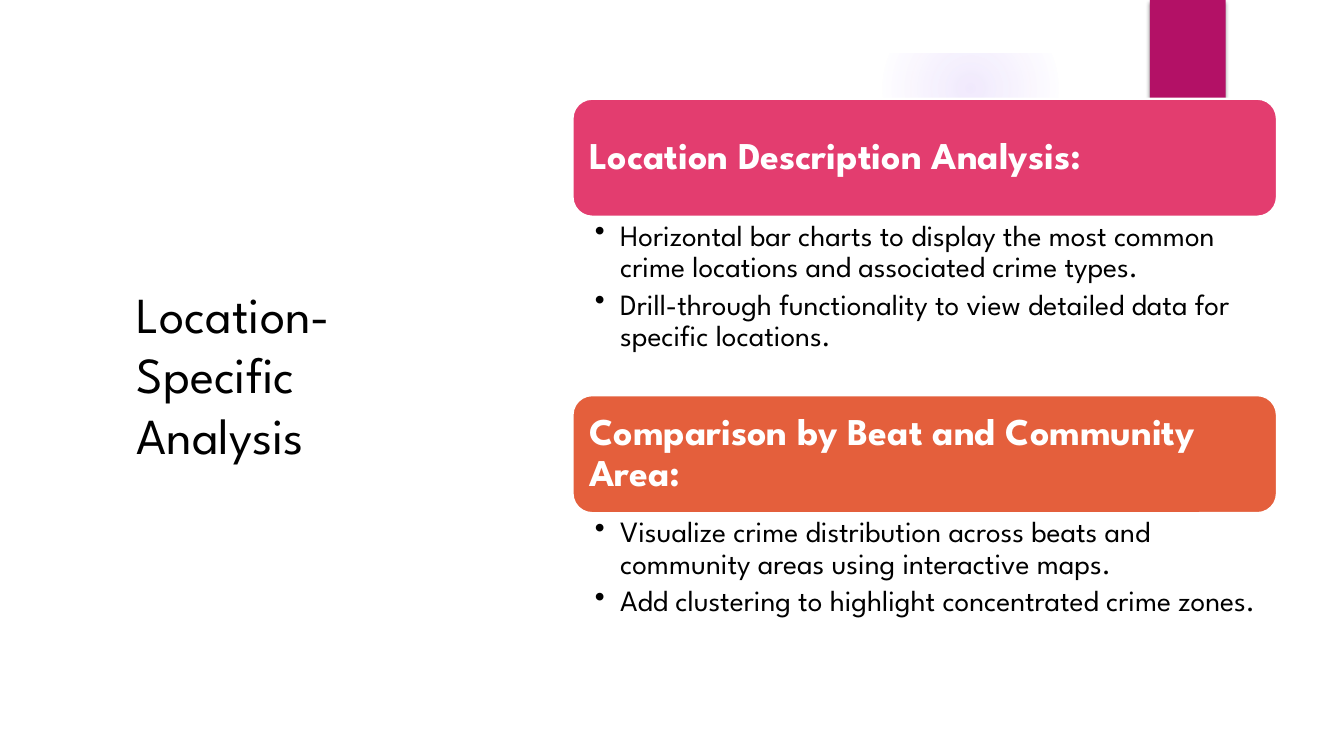
from lxml import etree
from pptx import Presentation
from pptx.dml.color import RGBColor
from pptx.enum.shapes import MSO_SHAPE
from pptx.enum.text import MSO_ANCHOR
from pptx.oxml import parse_xml
from pptx.oxml.ns import nsdecls, qn
from pptx.util import Cm, Pt

RECT = MSO_SHAPE.RECTANGLE
ROUND = MSO_SHAPE.ROUNDED_RECTANGLE
OVAL = MSO_SHAPE.OVAL
FRAME = MSO_SHAPE.FRAME
MIDDLE = MSO_ANCHOR.MIDDLE
TOP = MSO_ANCHOR.TOP

WHITE = RGBColor(0xFF, 0xFF, 0xFF)
BLACK = RGBColor(0, 0, 0)
PLUM = RGBColor(0xB3, 0x11, 0x66)
PINK = RGBColor(0xE3, 0x3D, 0x6F)
ORANGE = RGBColor(0xE4, 0x5F, 0x3C)
VIOLET = RGBColor(0x9B, 0x6B, 0xF2)

FONT = "League Spartan"
WIDE, HIGH = 33.87, 19.05
HEAD = 2.97
TOPICS = [
    ("Location Description Analysis:", PINK, [
        "Horizontal bar charts to display the most common crime locations "
        "and associated crime types.",
        "Drill-through functionality to view detailed data for specific locations.",
    ]),
    ("Comparison by Beat and Community Area:", ORANGE, [
        "Visualize crime distribution across beats and community areas "
        "using interactive maps.",
        "Add clustering to highlight concentrated crime zones.",
    ]),
]


def add_shape(slide, kind, box, fill):
    shape = slide.shapes.add_shape(kind, *map(Cm, box))
    shape.shadow.inherit = False
    shape.fill.solid()
    shape.fill.fore_color.rgb = fill
    shape.line.fill.background()
    return shape


def add_text(slide, box, lines, size, color, pads, anchor=TOP,
             bold=False, space=1.0, after=0, dots=False):
    frame = slide.shapes.add_textbox(*map(Cm, box)).text_frame
    frame.word_wrap = True
    frame.vertical_anchor = anchor
    frame.margin_left, frame.margin_top, frame.margin_right, frame.margin_bottom = map(Cm, pads)
    for i, line in enumerate(lines):
        para = frame.add_paragraph() if i else frame.paragraphs[0]
        para.line_spacing = space
        para.space_after = Pt(after)
        run = para.add_run()
        run.text = line
        font = run.font
        font.name, font.size, font.bold = FONT, Pt(size), bold
        font.color.rgb = color
        if dots:
            props = para._p.get_or_add_pPr()
            props.set("marL", str(Cm(0.64)))
            props.set("indent", str(-Cm(0.64)))
            etree.SubElement(props, qn("a:buChar")).set("char", "•")


def draw_glow(slide, box):
    glow = add_shape(slide, OVAL, box, VIOLET)
    stops = "".join(
        f'<a:gs pos="{pos}000"><a:srgbClr val="{VIOLET}">'
        f'<a:alpha val="{alpha}000"/></a:srgbClr></a:gs>'
        for pos, alpha in [(0, 14), (36, 7), (73, 0)])
    fade = parse_xml(
        f'<a:gradFill {nsdecls("a")}><a:gsLst>{stops}</a:gsLst><a:path path="circle">'
        '<a:fillToRect l="50000" t="50000" r="50000" b="50000"/></a:path></a:gradFill>')
    props = glow._element.spPr
    props.replace(props.find(qn("a:solidFill")), fade)


def draw_ribbon(slide, box):
    ribbon = add_shape(slide, RECT, box, PLUM)
    effects = ribbon._element.spPr.find(qn("a:effectLst"))
    effects.append(parse_xml(
        f'<a:outerShdw {nsdecls("a")} blurRad="{Pt(3)}" dist="{Pt(2)}" dir="5400000" '
        f'rotWithShape="0"><a:srgbClr val="{BLACK}"><a:alpha val="45000"/>'
        '</a:srgbClr></a:outerShdw>'))


def draw_decor(slide, box):
    left, top, width, height = box
    draw_glow(slide, (left + 22.23, top, 4.45, 4.45))
    border = add_shape(slide, FRAME, box, WHITE)
    border.adjustments[0] = 0.07
    draw_ribbon(slide, (left + 28.98, top, 1.91, 3.18))


def draw_title(slide, box):
    add_text(slide, box, ["Location-Specific Analysis"], 36, BLACK,
             (0.25, 0.13, 0.25, 0.13), MIDDLE)


def draw_topic(slide, box, head, fill, points):
    left, top, width, height = box
    banner = add_shape(slide, ROUND, (left, top, width, HEAD), fill)
    banner.line.color.rgb = WHITE
    banner.line.width = Pt(1.5)
    inset = 0.14
    add_text(slide, (left + inset, top + inset, width - 2 * inset, HEAD - 2 * inset),
             [head], 27, WHITE, [0.28] * 4, MIDDLE, bold=True, space=0.9)
    add_text(slide, (left, top + HEAD, width, height - HEAD), points, 21, BLACK,
             (0.56, 0.1, 0.53, 0.1), space=0.9, after=4, dots=True)


def draw_topics(slide, box):
    left, top, width, height = box
    step = height / len(TOPICS)
    for i, topic in enumerate(TOPICS):
        draw_topic(slide, (left, top + i * step, width, step), *topic)


def main():
    deck = Presentation()
    deck.slide_width, deck.slide_height = Cm(WIDE), Cm(HIGH)
    slide = deck.slides.add_slide(deck.slide_layouts[6])
    draw_decor(slide, (0, 0, WIDE, HIGH))
    draw_title(slide, (3.2, 2.69, 8.18, 13.44))
    draw_topics(slide, (14.43, 2.49, 17.75, 14.94))
    deck.save("out.pptx")


if __name__ == "__main__":
    main()
